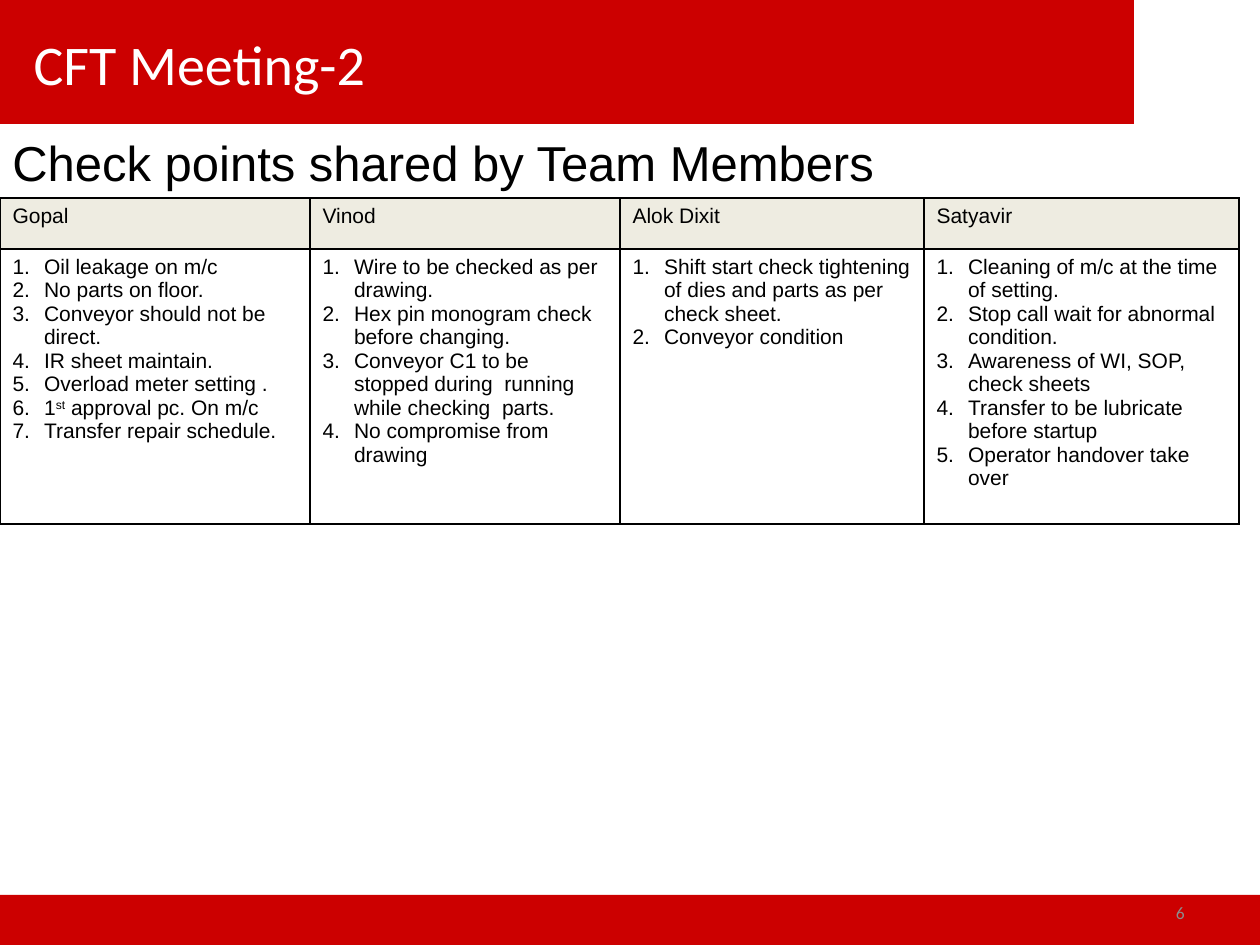
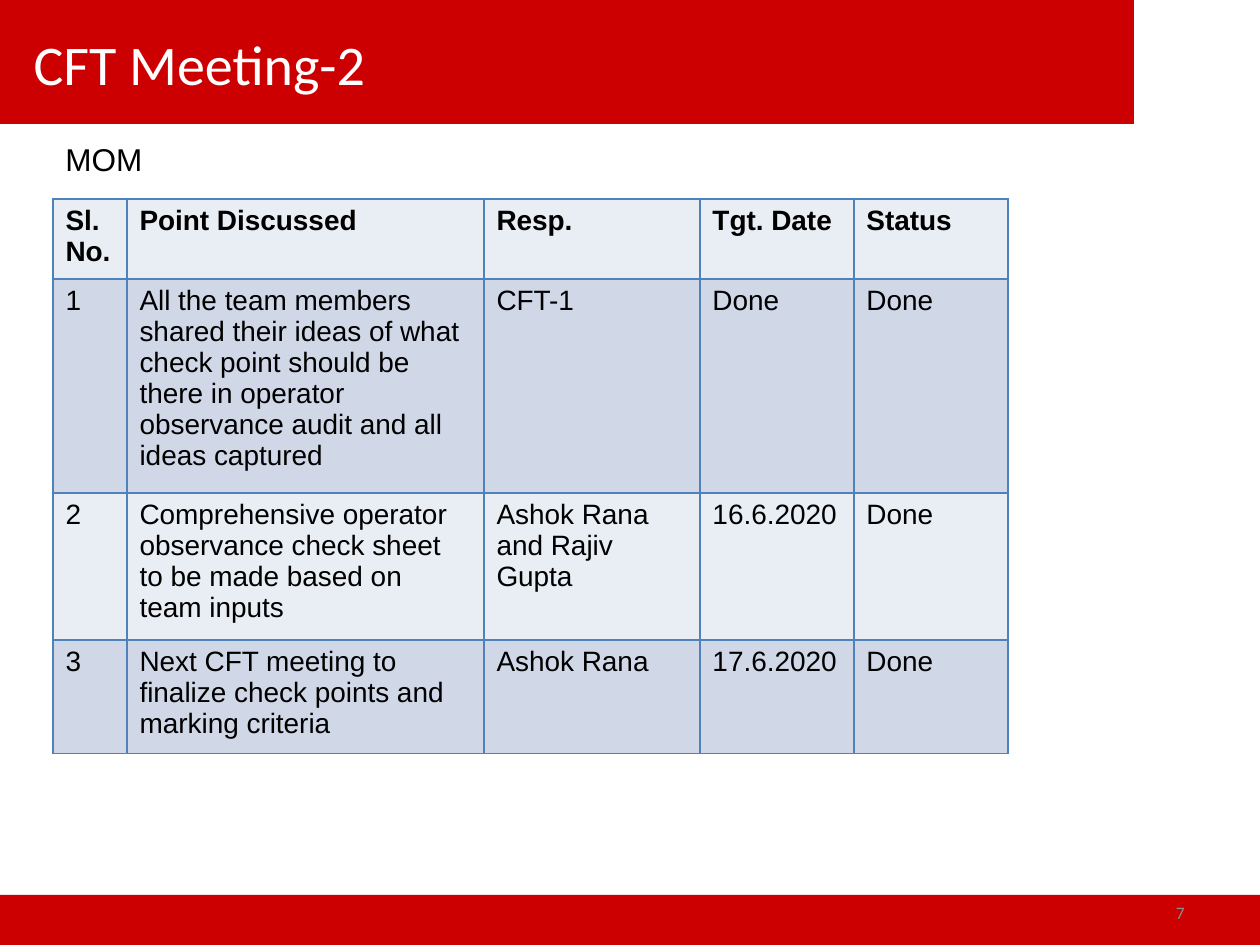
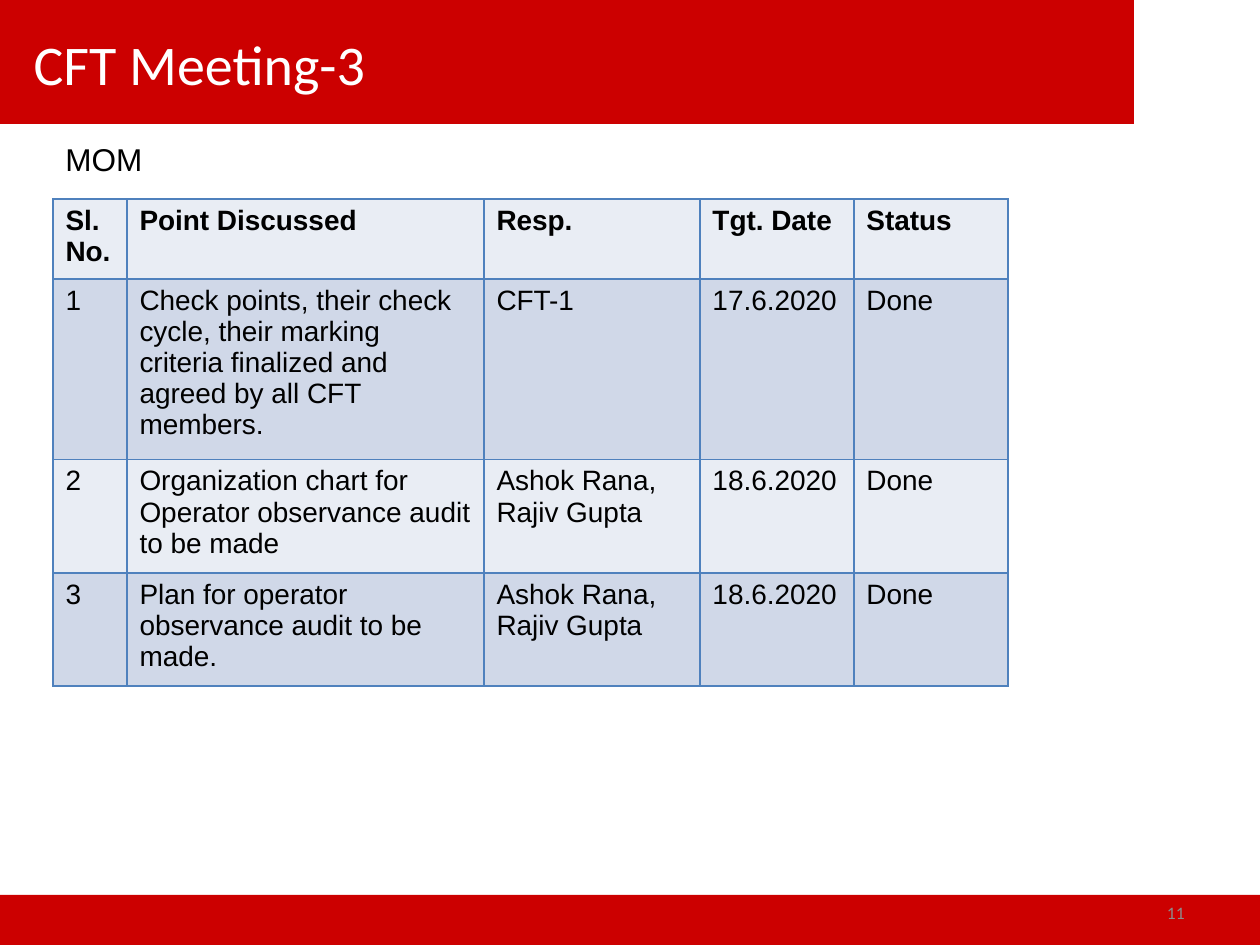
import pptx
import pptx.dml.color
import pptx.enum.shapes
import pptx.enum.text
import pptx.oxml
import pptx.util

PX = 7257  # EMU in one px, 126 px to the inch
RED, BLACK, WHITE, GREY = "CC0000", "000000", "FFFFFF", "8C8C8C"
CREAM, PALE, BLUE, LINE = "EEECE1", "E9EDF4", "D0D8E8", "4F81BD"
NS = 'xmlns:a="http://schemas.openxmlformats.org/drawingml/2006/main"'
ALIGN = pptx.enum.text.PP_ALIGN
MIDDLE = pptx.enum.text.MSO_ANCHOR.MIDDLE
GROW = pptx.enum.text.MSO_AUTO_SIZE.SHAPE_TO_FIT_TEXT

# Text formats
TITLE = {"name": "Calibri", "size": 32, "color": WHITE}
PAGE = {"name": "Calibri", "size": 10, "color": GREY}
BODY = {"name": "Arial", "color": BLACK}


def hue(code):
    return pptx.dml.color.RGBColor.from_string(code)


def write(para, text, look):
    """Add text to a paragraph; parts between ^ marks are raised."""
    for n, part in enumerate(text.split("^")):
        run = para.add_run()
        run.text = part
        for key, value in look.items():
            if key == "color":
                run.font.color.rgb = hue(value)
            else:
                setattr(run.font, key, pptx.util.Pt(value) if key == "size" else value)
        if n % 2:
            run.font._element.set("baseline", "30000")


# Content: lists inside a table row become numbered points
points = [
    ["Gopal", "Vinod", "Alok Dixit", "Satyavir"],
    [
        ["Oil leakage on m/c", "No parts on floor.",
         "Conveyor should not be direct.", "IR sheet maintain.",
         "Overload meter setting .", "1^st^ approval pc. On m/c",
         "Transfer repair schedule."],
        ["Wire to be checked as per drawing.",
         "Hex pin monogram check before changing.",
         "Conveyor C1 to be stopped during  running while checking  parts.",
         "No compromise from drawing"],
        ["Shift start check tightening of dies and parts as per check sheet.",
         "Conveyor condition"],
        ["Cleaning of m/c at the time of setting.",
         "Stop call wait for abnormal condition.",
         "Awareness of WI, SOP, check sheets",
         "Transfer to be lubricate before startup",
         "Operator handover take over"],
    ],
]
head = ["Sl. No.", "Point Discussed", "Resp.", "Tgt. Date", "Status"]
second = [
    head,
    ["1", "All the team members shared their ideas of what check point should be "
     "there in operator observance audit and all ideas captured",
     "CFT-1", "Done", "Done"],
    ["2", "Comprehensive operator observance check sheet to be made based on "
     "team inputs", "Ashok Rana and Rajiv Gupta", "16.6.2020", "Done"],
    ["3", "Next CFT meeting to finalize check points and marking criteria",
     "Ashok Rana", "17.6.2020", "Done"],
]
third = [
    head,
    ["1", "Check points, their check cycle, their marking criteria finalized and "
     "agreed by all CFT members.", "CFT-1", "17.6.2020", "Done"],
    ["2", "Organization chart for Operator observance audit to be made",
     "Ashok Rana, Rajiv Gupta", "18.6.2020", "Done"],
    ["3", "Plan for operator observance audit to be made.",
     "Ashok Rana, Rajiv Gupta", "18.6.2020", "Done"],
]

# Table styles
team = {"left": 0, "top": 198, "cols": [310, 310, 304, 315], "size": 12,
        "line": BLACK, "fills": [CREAM, None], "bold": False}
minutes = {"left": 53, "top": 199, "cols": [74, 357, 216, 154, 154], "size": 16,
           "line": LINE, "fills": [PALE, BLUE], "bold": True}
mom = ("MOM", 18, (53, 134, 132, 50))
lead = ("Check points shared by Team Members", 28, (0, 126, 966, 72))
pages = [
    ("CFT Meeting-2", "6", lead, team, points, [51, 275]),
    ("CFT Meeting-2", "7", mom, minutes, second, [75, 199, 137, 106]),
    ("CFT Meeting-3", "11", mom, minutes, third, [75, 168, 106, 106]),
]

deck = pptx.Presentation()
deck.slide_width, deck.slide_height = 1260 * PX, 945 * PX
layout = deck.slide_layouts[5]

for title, page, (label, size, area), style, rows, highs in pages:
    slide = deck.slides.add_slide(layout)

    # Red bands, drawn once and kept in the layout
    if page == pages[0][1]:
        for box in [(0, 895, 1260, 50), (0, 0, 1134, 124)]:
            band = slide.shapes.add_shape(
                pptx.enum.shapes.MSO_SHAPE.RECTANGLE, *[n * PX for n in box])
            band.shadow.inherit = False
            band.fill.solid()
            band.fill.fore_color.rgb = hue(RED)
            band.line.fill.background()
            layout.shapes._spTree.insert(2, band._element)

    # Title
    top = slide.shapes.title
    for key, n in {"left": 21, "top": 0, "width": 1113, "height": 126}.items():
        setattr(top, key, n * PX)
    top.text_frame.vertical_anchor = MIDDLE
    top.text_frame.paragraphs[0].alignment = ALIGN.LEFT
    write(top.text_frame.paragraphs[0], title, TITLE)

    # Page number and label above the table
    for text, box, look, frame, side in [
        (page, (903, 892, 294, 42), PAGE, {"vertical_anchor": MIDDLE}, ALIGN.RIGHT),
        (label, area, {**BODY, "size": size}, {"auto_size": GROW}, ALIGN.LEFT),
    ]:
        note = slide.shapes.add_textbox(*[n * PX for n in box]).text_frame
        for key, value in {"word_wrap": True, **frame}.items():
            setattr(note, key, value)
        note.paragraphs[0].alignment = side
        write(note.paragraphs[0], text, look)

    # Table
    cols = style["cols"]
    grid = slide.shapes.add_table(
        len(rows), len(cols), style["left"] * PX, style["top"] * PX,
        sum(cols) * PX, sum(highs) * PX).table
    grid.first_row = grid.horz_banding = False
    for col, wide in zip(grid.columns, cols):
        col.width = wide * PX
    for r, (row, high) in enumerate(zip(rows, highs)):
        grid.rows[r].height = high * PX
        fill = style["fills"][r % 2]
        look = {**BODY, "size": style["size"], "bold": style["bold"] and r == 0}
        for c, text in enumerate(row):
            cell = grid.cell(r, c)
            props = cell._tc.get_or_add_tcPr()
            for edge in "LRTB":
                props.append(pptx.oxml.parse_xml(
                    f'<a:ln{edge} {NS} w="12700"><a:solidFill><a:srgbClr '
                    f'val="{style["line"]}"/></a:solidFill></a:ln{edge}>'))
            if fill:
                cell.fill.solid()
                cell.fill.fore_color.rgb = hue(fill)
            else:
                cell.fill.background()
            listed = isinstance(text, list)
            for n, item in enumerate(text if listed else [text]):
                frame = cell.text_frame
                para = frame.add_paragraph() if n else frame.paragraphs[0]
                write(para, item, look)
                if listed:
                    form = para._p.get_or_add_pPr()
                    form.set("marL", "228600")
                    form.set("indent", "-228600")
                    form.append(pptx.oxml.parse_xml(
                        f'<a:buAutoNum {NS} type="arabicPeriod"/>'))

deck.save("out.pptx")
